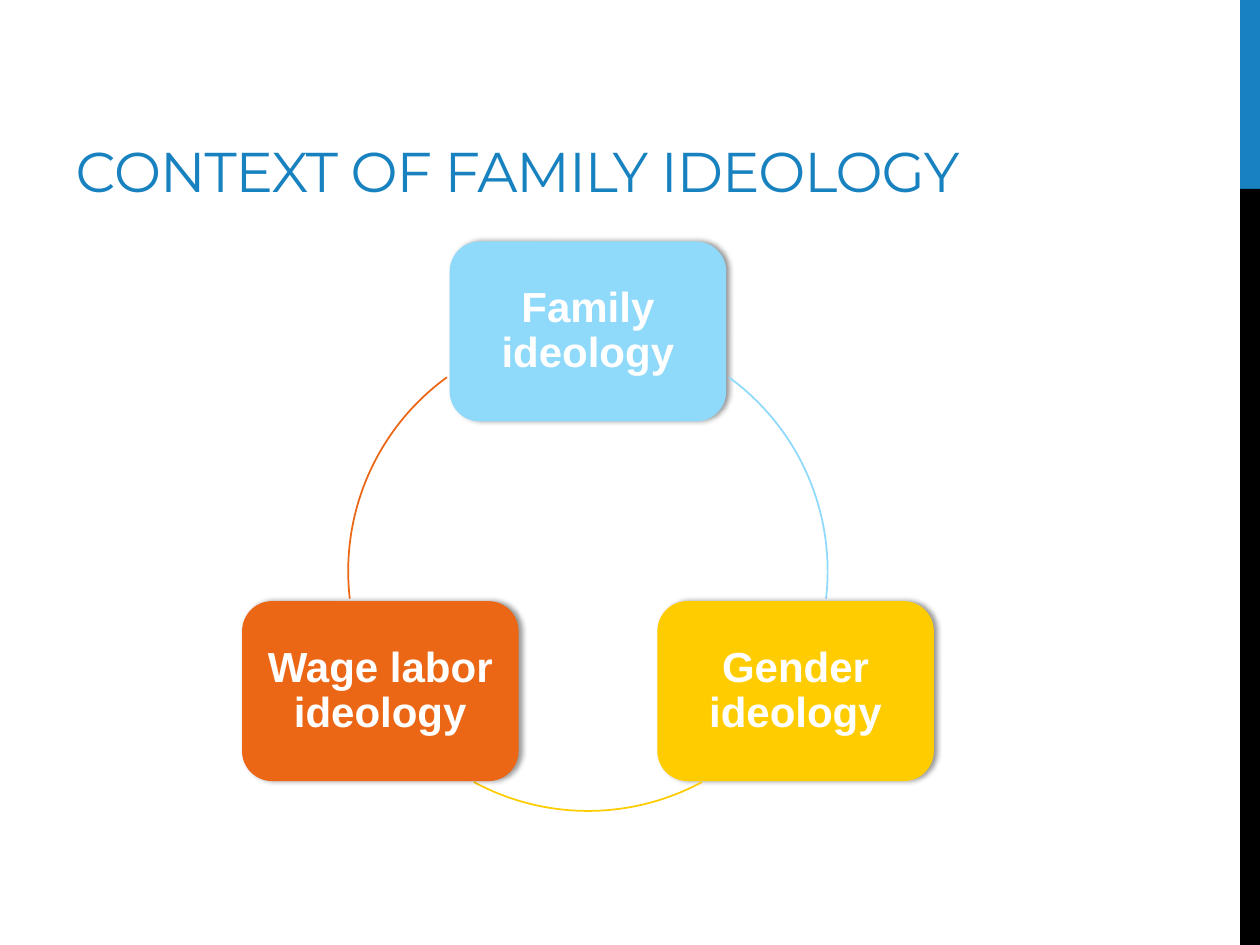
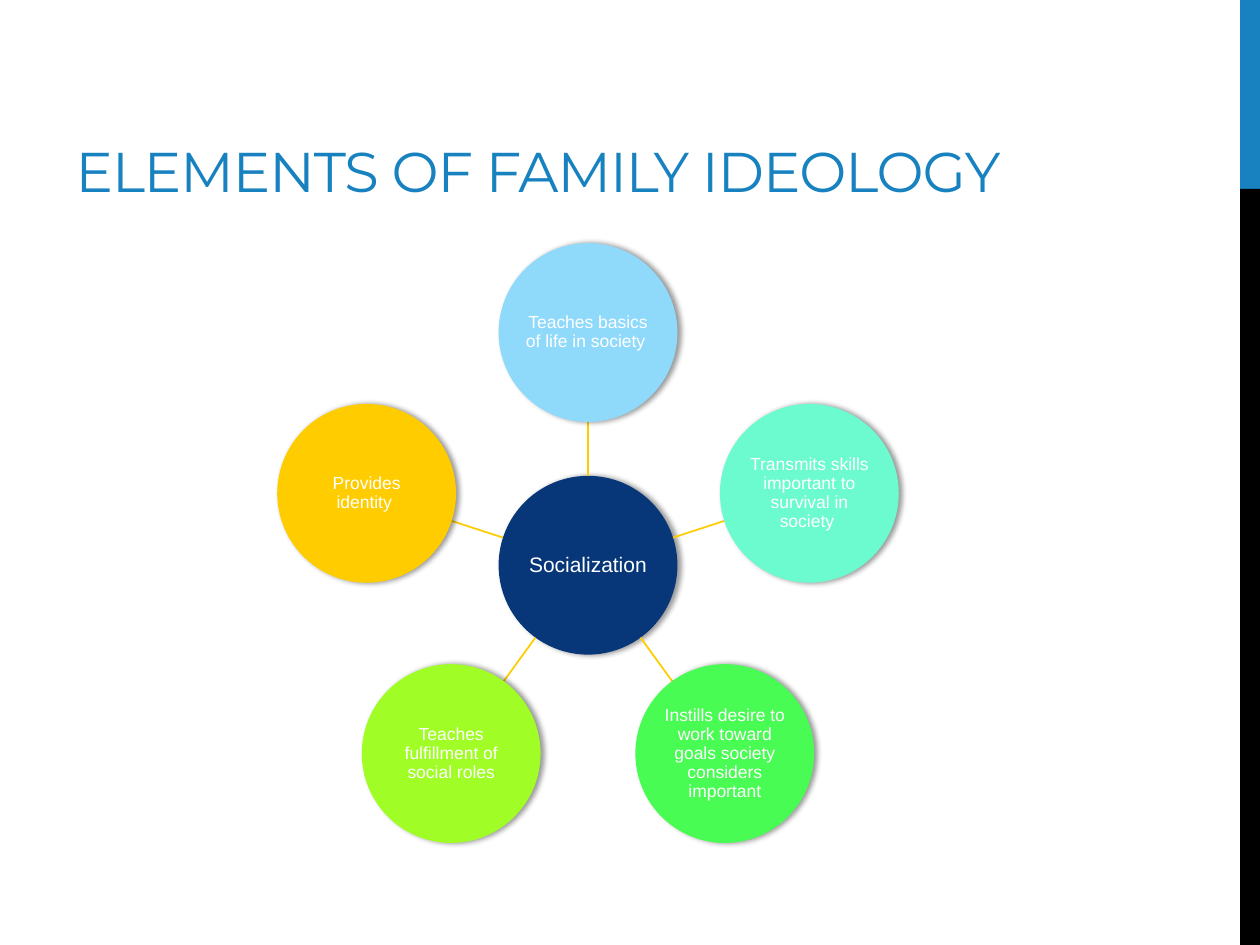
from dataclasses import dataclass
from math import cos, radians, sin

from lxml.etree import SubElement
from pptx import Presentation
from pptx.dml.color import RGBColor as RGB
from pptx.enum.shapes import MSO_CONNECTOR as CONNECTOR, MSO_SHAPE as SHAPE
from pptx.enum.text import MSO_ANCHOR as ANCHOR, MSO_AUTO_SIZE as AUTO_SIZE, PP_ALIGN as ALIGN
from pptx.oxml.ns import qn
from pptx.util import Pt


@dataclass(frozen=True)
class Theme:
    """Colours, fonts and type sizes of the deck."""
    blue: str = "1782BF"
    black: str = "000000"
    white: str = "FFFFFF"
    navy: str = "073779"
    sky: str = "8FD9FB"
    yellow: str = "FFCC00"
    orange: str = "EB6615"
    mint: str = "6CFBCE"
    green: str = "49FC53"
    lime: str = "A0FD25"
    title_font: str = "Montserrat"
    body_font: str = "Arial"
    title_size: int = 32
    box_size: int = 24
    hub_size: int = 12
    circle_size: int = 10


THEME = Theme()
WIDTH, HEIGHT = 720, 540
BAND_LEFT, BAND_SPLIT = 708.6, 108


def polar(center, radius, angle):
    """Return the point at an angle in degrees, clockwise from the right."""
    x, y = center
    return x + radius * cos(radians(angle)), y + radius * sin(radians(angle))


def add_filled(s, kind, left, top, width, height, color):
    """Add a flat preset shape without an outline."""
    sp = s.shapes.add_shape(kind, Pt(left), Pt(top), Pt(width), Pt(height))
    sp.shadow.inherit = False
    sp.fill.solid()
    sp.fill.fore_color.rgb = RGB.from_string(color)
    sp.line.fill.background()
    return sp


def add_soft_shadow(sp):
    """Give a shape a soft shadow to its right."""
    effects = sp.element.spPr.find(qn("a:effectLst"))
    shadow = SubElement(effects, qn("a:outerShdw"), blurRad=str(Pt(3.1)),
                        dist=str(Pt(1.8)), dir="0", rotWithShape="0")
    color = SubElement(shadow, qn("a:srgbClr"), val=THEME.black)
    SubElement(color, qn("a:alpha"), val="40000")


def format_font(r, name, size, color, bold=False):
    """Set the typeface, size, colour and weight of a run."""
    r.font.name = name
    r.font.size = Pt(size)
    r.font.color.rgb = RGB.from_string(color)
    r.font.bold = bold


def add_node(s, kind, center, size, text, color, font_size, inset, bold=False):
    """Add a shadowed shape with centred white text around a point."""
    (x, y), (width, height) = center, size
    sp = add_filled(s, kind, x - width / 2, y - height / 2, width, height, color)
    add_soft_shadow(sp)
    tf = sp.text_frame
    tf.text = text
    tf.word_wrap = True
    tf.vertical_anchor = ANCHOR.MIDDLE
    tf.margin_left = tf.margin_right = tf.margin_top = tf.margin_bottom = Pt(inset)
    p = tf.paragraphs[0]
    p.alignment = ALIGN.CENTER
    p.line_spacing = 0.9
    format_font(p.runs[0], THEME.body_font, font_size, THEME.white, bold)


def add_arc(s, center, radius, start, end, color):
    """Add a thin clockwise arc between two angles."""
    x, y = center
    sp = s.shapes.add_shape(SHAPE.ARC, Pt(x - radius), Pt(y - radius),
                            Pt(2 * radius), Pt(2 * radius))
    sp.shadow.inherit = False
    sp.fill.background()
    sp.line.color.rgb = RGB.from_string(color)
    sp.line.width = Pt(1)
    for i, angle in enumerate((start, end)):
        sp.adjustments[i] = angle * 60000 / 100000


def add_spoke(s, begin, end):
    """Add a thin straight line between two points."""
    line = s.shapes.add_connector(CONNECTOR.STRAIGHT, *map(Pt, begin + end))
    line.line.color.rgb = RGB.from_string(THEME.yellow)
    line.line.width = Pt(1)
    SubElement(line.element.spPr, qn("a:effectLst"))


def add_side_bands(s):
    """Draw the right-hand bands and hand them to the slide's layout."""
    bands = ((0, BAND_SPLIT, THEME.blue), (BAND_SPLIT, HEIGHT - BAND_SPLIT, THEME.black))
    for i, (top, height, color) in enumerate(bands):
        sp = add_filled(s, SHAPE.RECTANGLE, BAND_LEFT, top, WIDTH - BAND_LEFT, height, color)
        sp.element.nvSpPr.cNvPr.id = 20 + i
        s.slide_layout.shapes.element.append(sp.element)


def add_titled_slide(prs, title):
    """Add a title-only slide with the deck's title style."""
    s = prs.slides.add_slide(prs.slide_layouts[5])
    sp = s.shapes.title
    sp.left, sp.top, sp.width, sp.height = Pt(36), Pt(12), Pt(666), Pt(108)
    tf = sp.text_frame
    tf.text = title
    tf.word_wrap = True
    tf.auto_size = AUTO_SIZE.NONE
    tf.vertical_anchor = ANCHOR.BOTTOM
    p = tf.paragraphs[0]
    p.alignment = ALIGN.LEFT
    r = p.runs[0]
    format_font(r, THEME.title_font, THEME.title_size, THEME.blue)
    r.font._element.set("spc", "-60")
    return s


def add_ideology_cycle(s):
    """Draw three boxes on a circle, joined by arcs."""
    center, radius = (336, 326.4), 137
    boxes = (
        ("Family ideology", THEME.sky, 306, 6.6),
        ("Gender ideology", THEME.yellow, 61.6, 118.4),
        ("Wage labor ideology", THEME.orange, 173.4, 234),
    )
    for i, (text, color, start, end) in enumerate(boxes):
        add_node(s, SHAPE.ROUNDED_RECTANGLE, polar(center, radius, i * 120 - 90),
                 (158, 102.8), text, color, THEME.box_size, 7.2, bold=True)
        add_arc(s, center, radius, start, end, color)


def add_socialization_wheel(s):
    """Draw a hub with five circles around it, joined by spokes."""
    center, radius, diameter = (336, 323), 133, 102.2
    size = diameter, diameter
    circles = (
        ("Teaches basics of life in society ", THEME.sky),
        ("Transmits skills important to survival in society ", THEME.mint),
        ("Instills desire to work toward goals society considers important", THEME.green),
        ("Teaches fulfillment of social roles", THEME.lime),
        ("Provides identity ", THEME.yellow),
    )
    add_node(s, SHAPE.OVAL, center, size, "Socialization", THEME.navy, THEME.hub_size, 0.6)
    for i, (text, color) in enumerate(circles):
        angle = i * 360 / len(circles) - 90
        add_spoke(s, polar(center, diameter / 2, angle),
                  polar(center, radius - diameter / 2, angle))
        add_node(s, SHAPE.OVAL, polar(center, radius, angle), size, text, color,
                 THEME.circle_size, 0.6)


def main():
    """Build and save the deck."""
    prs = Presentation()
    prs.slide_width, prs.slide_height = Pt(WIDTH), Pt(HEIGHT)
    s = add_titled_slide(prs, "CONTEXT OF FAMILY IDEOLOGY")
    add_side_bands(s)
    add_ideology_cycle(s)
    s = add_titled_slide(prs, "ELEMENTS OF FAMILY IDEOLOGY")
    add_socialization_wheel(s)
    prs.save("out.pptx")


if __name__ == "__main__":
    main()
